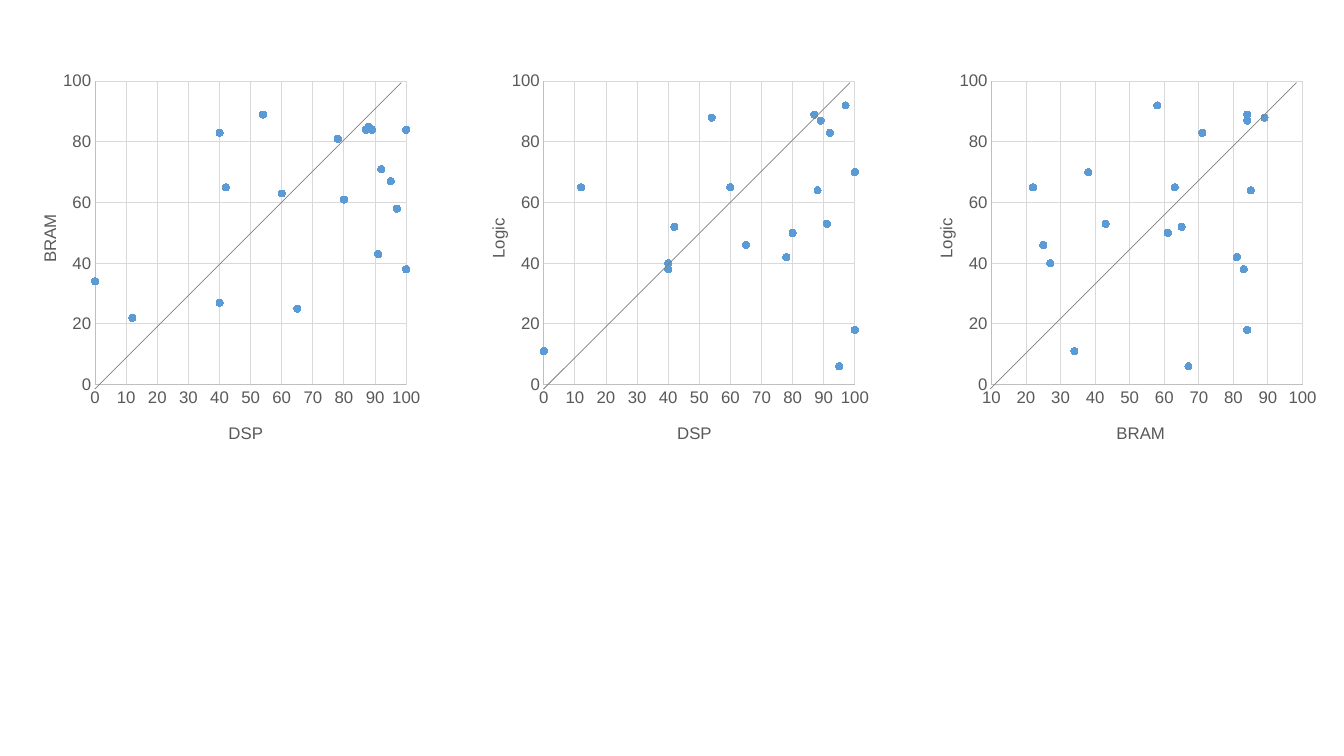
from lxml import etree
from pptx import Presentation
from pptx.chart.data import XyChartData
from pptx.dml.color import RGBColor
from pptx.enum.chart import XL_CHART_TYPE, XL_MARKER_STYLE, XL_TICK_MARK
from pptx.enum.shapes import MSO_CONNECTOR
from pptx.oxml.ns import qn
from pptx.util import Inches, Pt

SCATTER = XL_CHART_TYPE.XY_SCATTER
CIRCLE = XL_MARKER_STYLE.CIRCLE
NO_TICK = XL_TICK_MARK.NONE
STRAIGHT = MSO_CONNECTOR.STRAIGHT

COLORS = {"text": "595959", "axis": "BFBFBF", "grid": "D9D9D9",
          "marker": "5B9BD5", "diagonal": "808080", "base": "000000"}

# Utilisation in percent, one entry per design
USAGE = {
    "DSP": [97, 54, 95, 88, 91, 100, 89, 12, 80, 65, 100, 0, 40, 60, 40, 87, 92, 42, 78],
    "BRAM": [58, 89, 67, 85, 43, 38, 84, 22, 61, 25, 84, 34, 83, 63, 27, 84, 71, 65, 81],
    "Logic": [92, 88, 6, 64, 53, 70, 87, 65, 50, 46, 18, 11, 38, 65, 40, 89, 83, 52, 42],
}

# Chart left, x measure, y measure, x minimum, x title left, y title top, diagonal left
PANELS = [
    (0.11, "DSP", "BRAM", 0, 0.51, 0.37, 0.94),
    (4.56, "DSP", "Logic", 0, 0.51, 0.38, 5.39),
    (9.00, "BRAM", "Logic", 10, 0.49, 0.38, 9.82),
]


def set_layout(parent, index, **fractions):
    """Place a chart part by fractions of the chart area."""
    for old_layout in parent.findall(qn("c:layout")):
        parent.remove(old_layout)
    layout = etree.Element(qn("c:layout"))
    manual = etree.SubElement(layout, qn("c:manualLayout"))
    if "w" in fractions:
        etree.SubElement(manual, qn("c:layoutTarget"), val="inner")
    for mode in ("xMode", "yMode"):
        etree.SubElement(manual, qn(f"c:{mode}"), val="edge")
    for name, value in fractions.items():
        etree.SubElement(manual, qn(f"c:{name}"), val=str(value))
    parent.insert(index, layout)


def style_axis(axis, title, minimum, step, title_left, title_top):
    axis.minimum_scale, axis.maximum_scale = minimum, 100
    axis.major_unit = step
    axis.major_tick_mark = axis.minor_tick_mark = NO_TICK
    axis.has_major_gridlines = True
    for line, color in ((axis.format.line, "axis"),
                        (axis.major_gridlines.format.line, "grid")):
        line.width = Pt(0.75)
        line.color.rgb = RGBColor.from_string(COLORS[color])
    axis.tick_labels.number_format = "General"
    axis.tick_labels.number_format_is_linked = False
    run = axis.axis_title.text_frame.paragraphs[0].add_run()
    run.text = title
    for font in (axis.tick_labels.font, run.font):
        font.name = "Arial"
        font.size = Pt(12)
        font.bold = False
        font.color.rgb = RGBColor.from_string(COLORS["text"])
    set_layout(axis.axis_title._element, 1, x=title_left, y=title_top)


presentation = Presentation()
presentation.slide_width, presentation.slide_height = Inches(13.33), Inches(7.5)
slide = presentation.slides.add_slide(presentation.slide_layouts[6])

# Scatter charts
for left, x_name, y_name, x_minimum, x_title_left, y_title_top, _ in PANELS:
    chart_data = XyChartData()
    points = chart_data.add_series("Series 1")
    for x, y in zip(USAGE[x_name], USAGE[y_name]):
        points.add_data_point(x, y)
    chart = slide.shapes.add_chart(SCATTER, Inches(left), Inches(0.65),
                                   Inches(4.17), Inches(3.91), chart_data).chart
    chart.has_legend = False
    chart.has_title = False
    chart.font.name = "Noto Sans CJK SC"
    chart.font.size = Pt(10)
    chart.font.color.rgb = RGBColor.from_string(COLORS["base"])
    chart.plots[0].vary_by_categories = False
    set_layout(chart.plots[0]._element.getparent(), 0, x=0.2, y=0.04, w=0.74, h=0.77)

    series = chart.plots[0].series[0]
    series.smooth = False
    series.format.line.fill.background()
    series.marker.style = CIRCLE
    series.marker.size = 5
    marker_format = series.marker.format
    for fill in (marker_format.fill, marker_format.line.fill):
        fill.solid()
        fill.fore_color.rgb = RGBColor.from_string(COLORS["marker"])

    style_axis(chart.category_axis, x_name, x_minimum, 10, x_title_left, 0.9)
    style_axis(chart.value_axis, y_name, 0, 20, 0.06, y_title_top)

# Diagonals
for *_, left in PANELS:
    diagonal = slide.shapes.add_connector(STRAIGHT, Inches(left), Inches(3.86),
                                          Inches(left + 3.04), Inches(0.82))
    diagonal.line.width = Pt(0.5)
    diagonal.line.color.rgb = RGBColor.from_string(COLORS["diagonal"])
    etree.SubElement(diagonal._element.spPr, qn("a:effectLst"))

presentation.save("out.pptx")
